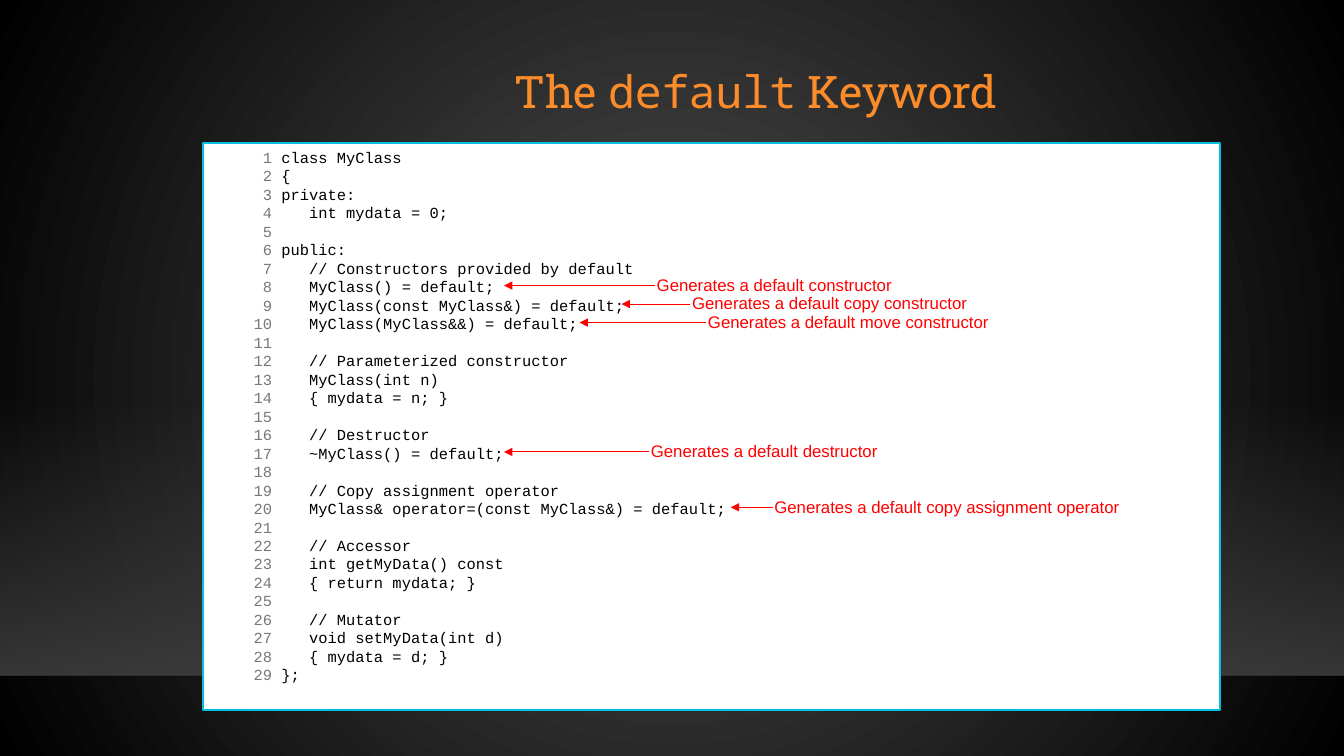
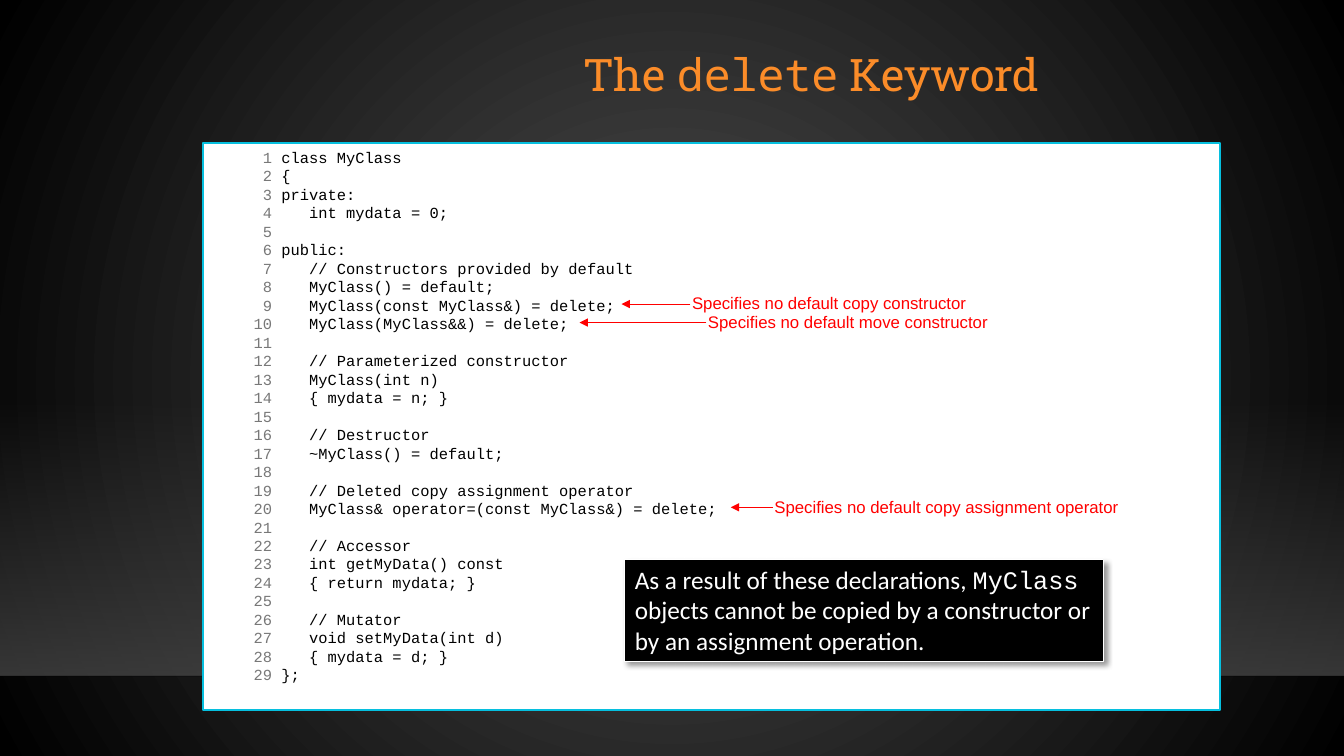
from dataclasses import dataclass

from pptx import Presentation
from pptx.dml.color import RGBColor
from pptx.enum.shapes import MSO_CONNECTOR, MSO_SHAPE
from pptx.enum.text import MSO_ANCHOR, PP_ALIGN
from pptx.oxml import parse_xml
from pptx.oxml.ns import qn
from pptx.util import Inches, Pt

RECT = MSO_SHAPE.RECTANGLE
LINE = MSO_CONNECTOR.STRAIGHT
TOP, MIDDLE = MSO_ANCHOR.TOP, MSO_ANCHOR.MIDDLE
LEFT, CENTER = PP_ALIGN.LEFT, PP_ALIGN.CENTER
NS = 'xmlns:a="http://schemas.openxmlformats.org/drawingml/2006/main"'

COLS, ROWS = 160, 90
PITCH = 2.2        # rows of the grid per line of code
FIRST = 17.5       # row where the first line of code begins


@dataclass(frozen=True)
class Theme:
    # Colours
    glow: str = "505050"
    black: str = "000000"
    white: str = "FFFFFF"
    floor: str = "454545"
    edge: str = "000001"
    frame: str = "06BFDE"
    head: str = "FB8C29"
    count: str = "787878"
    note: str = "FF0000"
    # Fonts
    slab: str = "Roboto Slab"
    mono: str = "Noto Sans Mono"
    code: str = "Courier New"
    sans: str = "Arial"
    body: str = "Calibri"
    # Sizes in points
    big: int = 32
    mid: int = 18
    small: int = 12
    tiny: int = 11
    lead: float = 13.2
    thin: float = 0.75


def blend(stops, shade):
    """Gradient fill from (place, colour, opacity) stops, in percent."""
    marks = "".join(
        f'<a:gs pos="{at * 1000}"><a:srgbClr val="{tint}">'
        f'<a:alpha val="{alpha * 1000}"/></a:srgbClr></a:gs>'
        for at, tint, alpha in stops)
    return parse_xml(f'<a:gradFill {NS} rotWithShape="1">'
                     f'<a:gsLst>{marks}</a:gsLst>{shade}</a:gradFill>')


def repaint(props, fill):
    """Put a gradient in place of a solid fill."""
    props.replace(props.find(qn("a:solidFill")), fill)


class Deck:
    def __init__(self, theme):
        self.theme = theme
        self.prs = Presentation()
        self.prs.slide_width = Inches(13.33)
        self.prs.slide_height = Inches(7.5)
        self.slide = None

    def grid(self, x, y):
        return (round(self.prs.slide_width * x / COLS),
                round(self.prs.slide_height * y / ROWS))

    def page(self):
        first = self.slide is None
        self.slide = self.prs.slides.add_slide(self.prs.slide_layouts[5])
        if first:
            self.stage()

    def stage(self):
        """Backdrop and floor, kept on the master for all slides."""
        t, master = self.theme, self.prs.slide_master
        master.background.fill.solid()
        repaint(master.element.cSld.bg.bgPr, blend(
            [(0, t.glow, 100), (100, t.black, 100)],
            '<a:path path="circle"><a:fillToRect l="50000" t="50000" '
            'r="50000" b="50000"/></a:path>'))
        band = self.box(0, 47.5, COLS, 32.9, t.floor)
        repaint(band.element.spPr, blend(
            [(0, t.floor, 0), (100, t.floor, 80)],
            '<a:lin ang="5400000" scaled="0"/>'))
        rim = self.rule(0, COLS, 80.5, t.edge, 1)
        tint = rim.element.spPr.find(".//" + qn("a:srgbClr"))
        tint.append(parse_xml(f'<a:alpha {NS} val="20000"/>'))
        for spot, part in enumerate((band, rim), 2):
            master.element.cSld.spTree.insert(spot, part.element)

    def box(self, x, y, w, h, fill, line=None, width=1):
        shape = self.slide.shapes.add_shape(
            RECT, *self.grid(x, y), *self.grid(w, h))
        shape.shadow.inherit = False
        shape.fill.solid()
        shape.fill.fore_color.rgb = RGBColor.from_string(fill)
        if line:
            shape.line.color.rgb = RGBColor.from_string(line)
            shape.line.width = Pt(width)
        else:
            shape.line.fill.background()
        return shape

    def rule(self, start, end, y, color, width):
        line = self.slide.shapes.add_connector(
            LINE, *self.grid(start, y), *self.grid(end, y))
        line.line.color.rgb = RGBColor.from_string(color)
        line.line.width = Pt(width)
        line.element.spPr.append(parse_xml(f"<a:effectLst {NS}/>"))
        return line

    def put(self, para, parts, size):
        """Fill a paragraph with (text, font, colour) parts."""
        for text, font, color in parts:
            run = para.add_run()
            run.text = text
            run.font.name = font
            run.font.size = Pt(size)
            run.font.color.rgb = RGBColor.from_string(color)

    def text(self, x, y, w, h):
        frame = self.slide.shapes.add_textbox(
            *self.grid(x, y), *self.grid(w, h)).text_frame
        frame.word_wrap = True
        return frame

    def title(self, x, y, word):
        t, head = self.theme, self.slide.shapes.title
        head.left, head.top = self.grid(x, y)
        head.width, head.height = self.grid(122, 13.8)
        head.text_frame.vertical_anchor = MIDDLE
        para = head.text_frame.paragraphs[0]
        para.alignment = CENTER
        para.line_spacing = 0.9
        self.put(para, [("The ", t.slab, t.head), (word, t.mono, t.head),
                        (" Keyword", t.slab, t.head)], t.big)

    def code(self, source):
        """White panel with numbered lines of code."""
        t = self.theme
        self.box(24.2, 17, 121, 67.5, t.white, t.frame, 1.25)
        frame = self.text(29, 17, 106, 65.6)
        for num, line in enumerate(source.splitlines(), 1):
            para = frame.paragraphs[0] if num == 1 else frame.add_paragraph()
            para.line_spacing = Pt(t.lead)
            parts = [(f"{num:2} ", t.code, t.count)]
            if line:
                parts.append((line, t.code, t.black))
            self.put(para, parts, t.tiny)

    def note(self, num, start, end, label):
        """Red label with an arrow to the given line of code."""
        t = self.theme
        y = FIRST + PITCH * (num - 0.5)
        arrow = self.rule(start, end, y, t.note, t.thin)
        arrow.element.spPr.find(qn("a:ln")).append(
            parse_xml(f'<a:tailEnd {NS} type="triangle"/>'))
        frame = self.text(start - 1, y - 1.9, 48, 3.6)
        self.put(frame.paragraphs[0], [(label, t.sans, t.note)], t.small)

    def callout(self, x, y, w, h, parts):
        """Black box with a soft shadow."""
        t = self.theme
        shape = self.box(x, y, w, h, t.black, t.white, t.thin)
        shape.element.spPr.find(qn("a:effectLst")).append(parse_xml(
            f'<a:outerShdw {NS} blurRad="{Pt(4)}" dist="{Pt(3)}" '
            f'dir="2700000" algn="tl" rotWithShape="0">'
            f'<a:srgbClr val="{t.black}"><a:alpha val="40000"/>'
            f'</a:srgbClr></a:outerShdw>'))
        frame = shape.text_frame
        frame.word_wrap = True
        frame.vertical_anchor = TOP
        frame.paragraphs[0].alignment = LEFT
        self.put(frame.paragraphs[0],
                 [(text, font, t.white) for text, font in parts], t.mid)


CODE = """class MyClass
{
private:
   int mydata = 0;

public:
   // Constructors provided by default
   MyClass() = default;
   MyClass(const MyClass&) = default;
   MyClass(MyClass&&) = default;

   // Parameterized constructor
   MyClass(int n)
   { mydata = n; }

   // Destructor
   ~MyClass() = default;

   // Copy assignment operator
   MyClass& operator=(const MyClass&) = default;

   // Accessor
   int getMyData() const
   { return mydata; }

   // Mutator
   void setMyData(int d)
   { mydata = d; }
};"""

# Line of code, arrow start and end, what the line is about
NOTES = [
    (8, 78, 60, "constructor"),
    (9, 82.2, 74, "copy constructor"),
    (10, 84.1, 69, "move constructor"),
    (17, 77.3, 60, "destructor"),
    (20, 92, 87, "copy assignment operator"),
]


def main():
    theme = Theme()
    deck = Deck(theme)

    # Default keyword
    deck.page()
    deck.title(29, 4.3, "default")
    deck.code(CODE)
    for num, start, end, topic in NOTES:
        deck.note(num, start, end, f"Generates a default {topic}")

    # Delete keyword: copies and moves are ruled out
    deck.page()
    deck.title(35.6, 2.3, "delete")
    deck.code(CODE.replace("&) = default", "&) = delete")
              .replace("Copy assignment", "Deleted copy assignment"))
    for num, start, end, topic in NOTES:
        if "copy" in topic or "move" in topic:
            deck.note(num, start, end, f"Specifies no default {topic}")
    deck.callout(74.4, 66.6, 57, 12.1, [
        ("As a result of these declarations, ", theme.body),
        ("MyClass", theme.code),
        (" objects cannot be copied by a constructor or by an assignment "
         "operation.", theme.body)])

    deck.prs.save("out.pptx")


if __name__ == "__main__":
    main()
